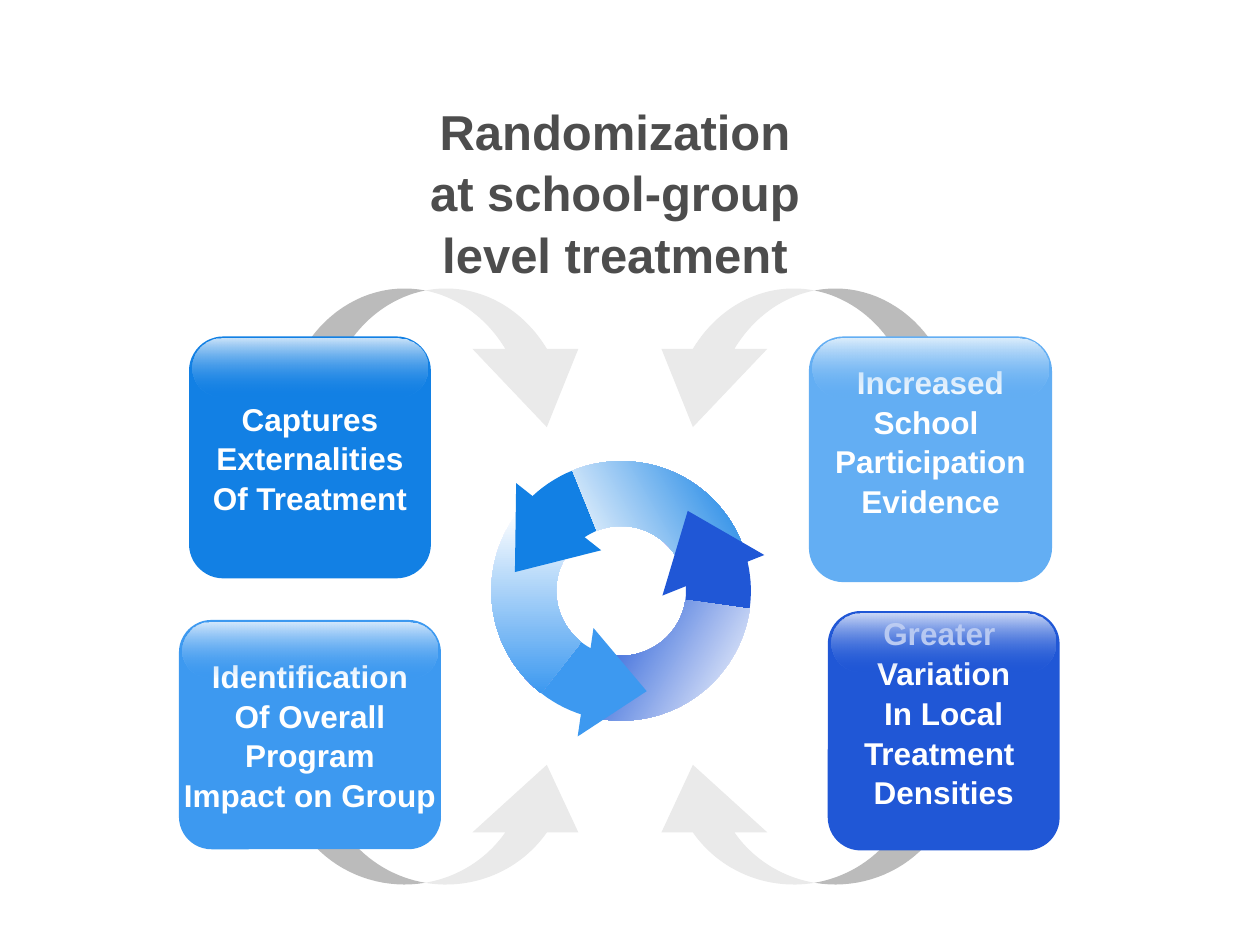
from dataclasses import dataclass
from math import asin, acos, cos, degrees, radians, sin
from typing import Optional

from lxml.etree import SubElement
from pptx import Presentation
from pptx.dml.color import RGBColor
from pptx.enum.shapes import MSO_SHAPE
from pptx.enum.text import MSO_ANCHOR, PP_ALIGN
from pptx.oxml.ns import qn
from pptx.util import Inches, Pt

Point = tuple[float, float]


@dataclass(frozen=True)
class Theme:
    font: str = "Arial"
    title_size: int = 28
    card_size: int = 18
    line_spacing: float = 1.05
    title: str = "4D4D4D"
    white: str = "FFFFFF"
    arrow_light: str = "EAEAEA"
    arrow_dark: str = "BBBBBB"
    blue: str = "1280E4"
    sky: str = "3D99F0"
    pale: str = "63AEF3"
    royal: str = "2057D6"


@dataclass(frozen=True)
class Card:
    left: float
    top: float
    width: float
    height: float
    color: str
    gloss: str
    lines: tuple[str, ...]
    bottom_inset: float = 0.05


@dataclass(frozen=True)
class CycleStep:
    color: str
    next_color: str
    gradient_angle: float
    head_center: Point
    head_size: Point
    head_rotation: float


THEME = Theme()
RING_CENTER, RING_OUTER, RING_INNER = (4.93, 4.69), 1.03, 0.515
MIRROR_X = 4.92

CARDS = (
    Card(1.42, 4.92, 2.08, 1.82, THEME.sky, "D4E8FC",
         ("Identification", "Of Overall", "Program", "Impact on Group")),
    Card(6.57, 4.85, 1.84, 1.9, THEME.royal, "CDD9F6",
         ("Greater ", "Variation", "In Local", "Treatment ", "Densities"), 0.35),
    Card(1.5, 2.67, 1.92, 1.92, THEME.blue, "CAE3F9",
         ("Captures", "Externalities", "Of Treatment")),
    Card(6.42, 2.67, 1.93, 1.95, THEME.pale, "DCEDFC",
         ("Increased", "School ", "Participation", "Evidence"), 0.35),
)

CYCLE = (
    CycleStep(THEME.blue, THEME.royal, 30, (5.56, 4.31), (0.87, 0.55), 338.3),
    CycleStep(THEME.royal, THEME.sky, 150, (4.89, 5.45), (0.87, 0.49), 98.3),
    CycleStep(THEME.sky, THEME.blue, 270, (4.26, 4.32), (0.86, 0.56), 218.3),
)


def finish(shape, color: str) -> None:
    shape.shadow.inherit = False
    shape.line.fill.background()
    shape.fill.solid()
    shape.fill.fore_color.rgb = RGBColor.from_string(color)


def set_gradient(shape, first: str, last: str, angle: float, fade: bool = False) -> None:
    """Linear gradient; the angle runs counter-clockwise."""
    shape.fill.gradient()
    shape.fill.gradient_angle = angle
    for stop, color in zip(shape.fill.gradient_stops, (first, last)):
        stop.color.rgb = RGBColor.from_string(color)
    if fade:
        last_color = list(shape._element.spPr.iter(qn("a:srgbClr")))[-1]
        SubElement(last_color, qn("a:alpha")).set("val", "0")


def add_preset(slide, kind, left: float, top: float, width: float, height: float,
               color: str, adjustment: Optional[float] = None):
    shape = slide.shapes.add_shape(
        kind, Inches(left), Inches(top), Inches(width), Inches(height))
    if adjustment is not None:
        shape.adjustments[0] = adjustment
    finish(shape, color)
    return shape


def add_polygon(slide, points: list[Point], color: str):
    corners = [(Inches(x), Inches(y)) for x, y in points]
    builder = slide.shapes.build_freeform(*corners[0])
    builder.add_line_segments(corners[1:], close=True)
    shape = builder.convert_to_shape()
    finish(shape, color)
    return shape


def arc(center: Point, radius_x: float, radius_y: float,
        start: float, end: float, steps: int = 30) -> list[Point]:
    angles = [radians(start + (end - start) * i / steps) for i in range(steps + 1)]
    return [(center[0] + radius_x * cos(a), center[1] - radius_y * sin(a))
            for a in angles]


def write_lines(frame, lines: tuple[str, ...], size: int, color: str) -> None:
    for index, line in enumerate(lines):
        paragraph = frame.paragraphs[0] if index == 0 else frame.add_paragraph()
        paragraph.text = line
        paragraph.alignment = PP_ALIGN.CENTER
        paragraph.line_spacing = THEME.line_spacing
        paragraph.font.name = THEME.font
        paragraph.font.size = Pt(size)
        paragraph.font.bold = True
        paragraph.font.color.rgb = RGBColor.from_string(color)


def add_curved_arrow(slide, mirrored: bool, base: float, height: float) -> None:
    """Two offset half-ellipses; a negative height makes the arrow bend downward."""
    tail, head, radius = 3.21, 3.54, 0.97
    crossing = degrees(acos((head - tail) / 2 / radius))
    neck_ratio = 0.564
    neck = degrees(asin(neck_ratio))
    neck_y = base - neck_ratio * height

    def curve(center_x: float, start: float, end: float) -> list[Point]:
        return arc((center_x, base), radius, height, start, end)

    band = (curve(head, 180 - crossing, neck)
            + [(4.59, neck_y), (4.34, base), (3.75, neck_y)]
            + curve(tail, neck, crossing))
    fold = curve(tail, 180, crossing) + curve(head, 180 - crossing, 180)
    for points, color in ((band, THEME.arrow_light), (fold, THEME.arrow_dark)):
        if mirrored:
            points = [(2 * MIRROR_X - x, y) for x, y in points]
        add_polygon(slide, points, color)


def add_ring_segment(slide, start: float, color: str):
    end = start - 90
    points = (arc(RING_CENTER, RING_OUTER, RING_OUTER, start, end)
              + arc(RING_CENTER, RING_INNER, RING_INNER, end, start))
    return add_polygon(slide, points, color)


def add_cycle_step(slide, step: CycleStep, start: float) -> None:
    add_ring_segment(slide, start, step.color)
    trail = add_ring_segment(slide, start - 30, step.color)
    set_gradient(trail, THEME.white, step.color, step.gradient_angle)
    (x, y), (width, height) = step.head_center, step.head_size
    head = add_preset(slide, MSO_SHAPE.ISOSCELES_TRIANGLE, x - width / 2,
                      y - height / 2, width, height, step.next_color)
    head.rotation = step.head_rotation


def add_card(slide, card: Card) -> None:
    body = add_preset(slide, MSO_SHAPE.ROUNDED_RECTANGLE, card.left, card.top,
                      card.width, card.height, card.color, 0.142)
    frame = body.text_frame
    frame.word_wrap = False
    frame.vertical_anchor = MSO_ANCHOR.MIDDLE
    frame.margin_bottom = Inches(card.bottom_inset)
    write_lines(frame, card.lines, THEME.card_size, THEME.white)
    gloss = add_preset(slide, MSO_SHAPE.ROUNDED_RECTANGLE, card.left + 0.03,
                       card.top + 0.02, card.width - 0.06, card.height * 0.24,
                       card.color, 0.5)
    set_gradient(gloss, card.gloss, card.color, 270, fade=True)


def add_title(slide) -> None:
    box = slide.shapes.add_textbox(Inches(3.17), Inches(0.73), Inches(3.42), Inches(1.6))
    box.text_frame.word_wrap = True
    write_lines(box.text_frame, ("Randomization at school-group level treatment",),
                THEME.title_size, THEME.title)


def main() -> None:
    presentation = Presentation()
    presentation.slide_width, presentation.slide_height = Inches(10), Inches(7.5)
    slide = presentation.slides.add_slide(presentation.slide_layouts[6])

    # Curved arrows behind the cards
    for base, height in ((6.07, -0.95), (3.39, 1.1)):
        for mirrored in (True, False):
            add_curved_arrow(slide, mirrored, base, height)

    # Central cycle
    for index, step in enumerate(CYCLE):
        add_cycle_step(slide, step, 142 - 120 * index)

    # Title and cards
    add_title(slide)
    for card in CARDS:
        add_card(slide, card)

    presentation.save("out.pptx")


if __name__ == "__main__":
    main()
